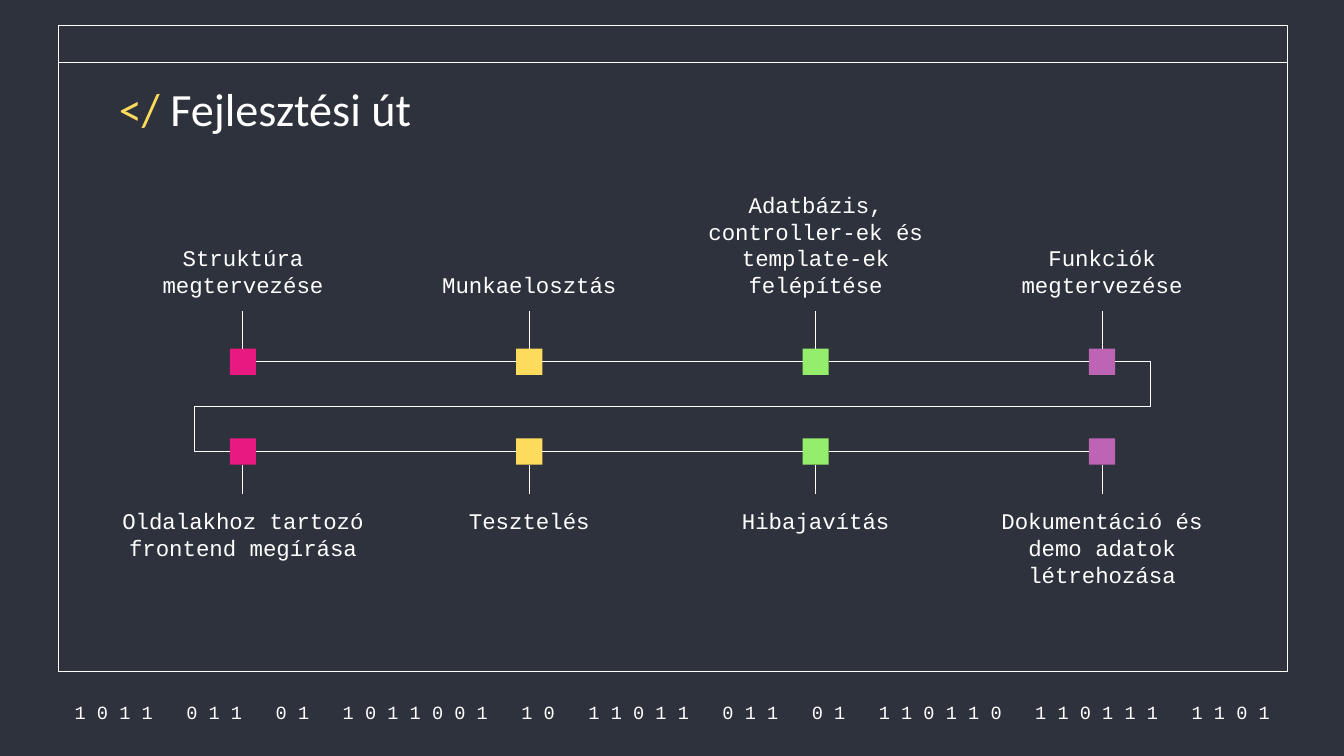
from dataclasses import dataclass
from itertools import pairwise

from lxml.etree import SubElement
from pptx import Presentation
from pptx.dml.color import RGBColor
from pptx.enum.shapes import MSO_CONNECTOR, MSO_SHAPE
from pptx.enum.text import MSO_ANCHOR, MSO_AUTO_SIZE, PP_ALIGN
from pptx.oxml.ns import qn
from pptx.util import Inches, Pt

TOP, LEFT, BOTTOM, RIGHT = range(4)


@dataclass(frozen=True)
class Theme:
    background: str = "2D323C"
    ink: str = "FFFFFF"
    accent: str = "FFDB5D"
    steps: tuple = ("E81981", "FFDB5D", "94EE6B", "BD64B5")
    heading_font: str = "Calibri"
    body_font: str = "Courier New"
    heading_size: float = 33
    label_size: float = 16
    binary_size: float = 13.3
    line_width: float = 0.75
    inset: float = 0.13


class RoadmapSlide:
    def __init__(self, presentation, theme):
        self.theme = theme
        self.slide = presentation.slides.add_slide(presentation.slide_layouts[5])
        self.shapes = self.slide.shapes
        fill = self.slide.background.fill
        fill.solid()
        fill.fore_color.rgb = RGBColor.from_string(theme.background)

    def set_text(self, frame, runs, font, size, align, anchor):
        frame.word_wrap = True
        frame.auto_size = MSO_AUTO_SIZE.NONE
        frame.vertical_anchor = anchor
        inset = Inches(self.theme.inset)
        frame.margin_left = frame.margin_right = inset
        frame.margin_top = frame.margin_bottom = inset
        paragraph = frame.paragraphs[0]
        paragraph.alignment = align
        for words, color in runs:
            run = paragraph.add_run()
            run.text = words
            run.font.name = font
            run.font.size = Pt(size)
            run.font.color.rgb = RGBColor.from_string(color)

    def title(self, runs, left, top, width, height):
        heading = self.shapes.title
        heading.left, heading.top = Inches(left), Inches(top)
        heading.width, heading.height = Inches(width), Inches(height)
        self.set_text(heading.text_frame, runs, self.theme.heading_font,
                      self.theme.heading_size, PP_ALIGN.LEFT, MSO_ANCHOR.TOP)
        heading.element.getparent().append(heading.element)

    def label(self, words, left, top, width, height, size, anchor):
        box = self.shapes.add_textbox(
            Inches(left), Inches(top), Inches(width), Inches(height))
        self.set_text(box.text_frame, [(words, self.theme.ink)],
                      self.theme.body_font, size, PP_ALIGN.CENTER, anchor)
        return box

    def rectangle(self, left, top, width, height, fill, outlined=False):
        box = self.shapes.add_shape(
            MSO_SHAPE.RECTANGLE,
            Inches(left), Inches(top), Inches(width), Inches(height))
        box.shadow.inherit = False
        box.fill.solid()
        box.fill.fore_color.rgb = RGBColor.from_string(fill)
        if outlined:
            self.stroke(box.line)
        else:
            box.line.fill.background()
        return box

    def stroke(self, line):
        line.color.rgb = RGBColor.from_string(self.theme.ink)
        line.width = Pt(self.theme.line_width)

    def connect(self, start, start_side, end, end_side, kind=MSO_CONNECTOR.STRAIGHT):
        connector = self.shapes.add_connector(kind, 0, 0, 0, 0)
        connector.begin_connect(start, start_side)
        connector.end_connect(end, end_side)
        self.stroke(connector.line)
        SubElement(connector.element.spPr, qn("a:effectLst"))
        return connector

    def wrap(self, start, end, overshoot):
        connector = self.connect(start, RIGHT, end, LEFT, MSO_CONNECTOR.ELBOW)
        geometry = connector.element.spPr.find(qn("a:prstGeom"))
        geometry.set("prst", "bentConnector5")
        guides = geometry.find(qn("a:avLst"))
        ratio = round(100000 * Inches(overshoot) / connector.width)
        for number, value in enumerate((-ratio, 50000, 100000 + ratio), 1):
            SubElement(guides, qn("a:gd"), name=f"adj{number}", fmla=f"val {value}")

    def milestones(self, steps, axis, label_top, anchor, marker_side, label_side):
        first, pitch, marker_size = 2.41, 2.84, 0.26
        label_width, label_height = 2.71, 1.46
        markers = []
        for column, (words, color) in enumerate(zip(steps, self.theme.steps)):
            center = first + column * pitch
            caption = self.label(words, center - label_width / 2, label_top,
                                 label_width, label_height,
                                 self.theme.label_size, anchor)
            marker = self.rectangle(center - marker_size / 2, axis - marker_size / 2,
                                    marker_size, marker_size, color)
            self.connect(marker, marker_side, caption, label_side)
            markers.append(marker)
        for current, following in pairwise(markers):
            self.connect(current, RIGHT, following, LEFT)
        return markers


def main():
    presentation = Presentation()
    presentation.slide_width = Inches(13.33)
    presentation.slide_height = Inches(7.5)
    theme = Theme()
    roadmap = RoadmapSlide(presentation, theme)

    for frame_height in (6.41, 0.37):
        roadmap.rectangle(0.58, 0.25, 12.19, frame_height, theme.background, True)
    binary = " ".join("1011 011 01 1011001 10 11011 011 01 110110 110111 1101")
    roadmap.label(binary, 0.5, 6.93, 12.36, 0.26, theme.binary_size, MSO_ANCHOR.MIDDLE)
    roadmap.title([("</ ", theme.accent), ("Fejlesztési út", theme.ink)],
                  1.05, 0.67, 11.23, 0.84)

    planning = roadmap.milestones(
        ("Struktúra megtervezése", "Munkaelosztás",
         "Adatbázis, controller-ek és template-ek felépítése",
         "Funkciók megtervezése"),
        3.59, 1.63, MSO_ANCHOR.BOTTOM, TOP, BOTTOM)
    delivery = roadmap.milestones(
        ("Oldalakhoz tartozó frontend megírása", "Tesztelés", "Hibajavítás",
         "Dokumentáció és demo adatok létrehozása"),
        4.48, 4.9, MSO_ANCHOR.TOP, BOTTOM, TOP)
    roadmap.wrap(planning[-1], delivery[0], 0.35)

    presentation.save("out.pptx")


if __name__ == "__main__":
    main()
